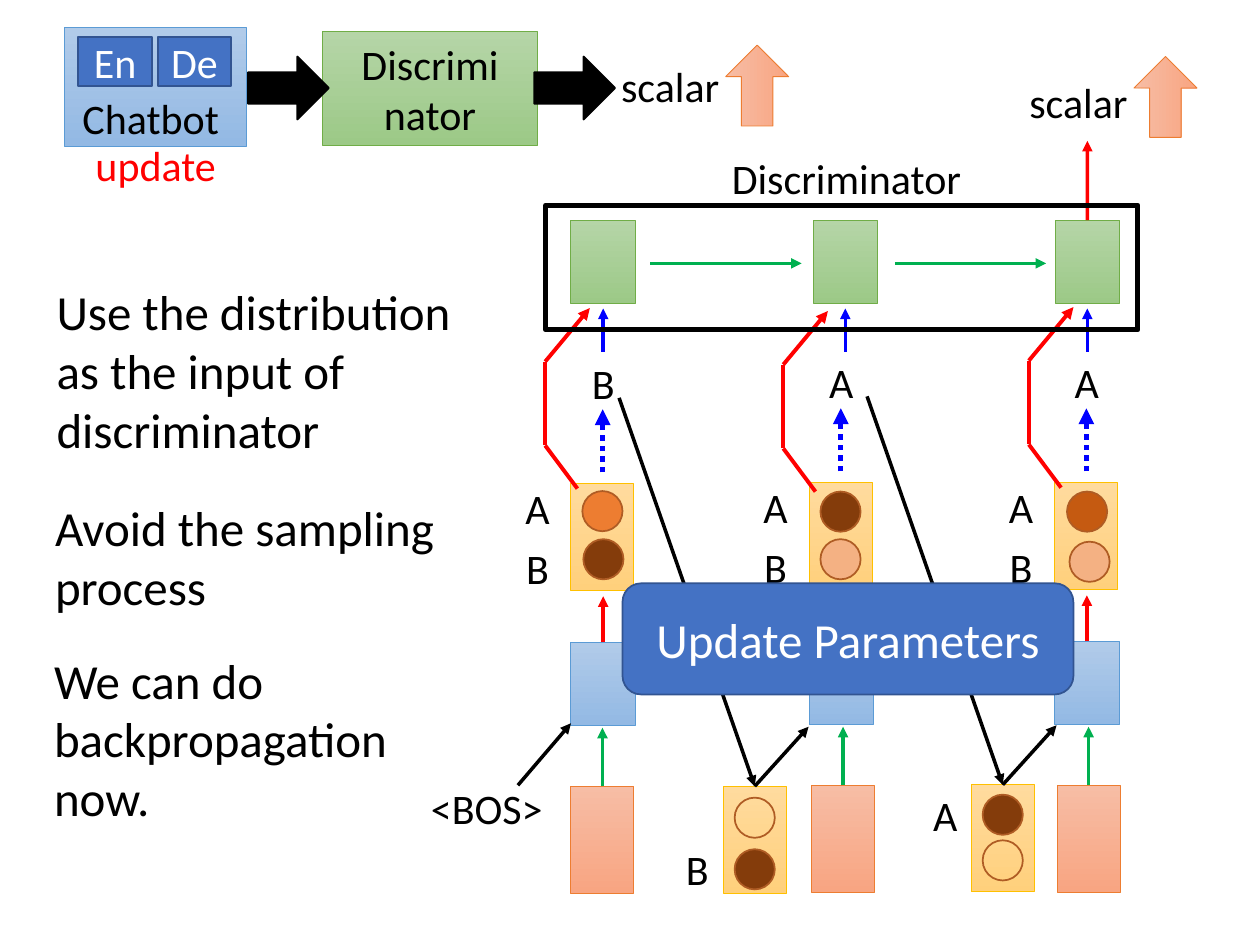
import itertools

import pptx
import pptx.dml.color
import pptx.enum.dml
import pptx.enum.shapes
import pptx.enum.text
import pptx.oxml.ns
import pptx.util
from lxml import etree

Cm, Pt = pptx.util.Cm, pptx.util.Pt
SHAPE = pptx.enum.shapes.MSO_SHAPE
TOP = 0

COLORS = {
    "black": "000000", "white": "FFFFFF", "red": "FF0000", "green": "00B050",
    "blue": "0000FF", "navy": "4472C4", "navy_edge": "325491",
    "brown": "843C0B", "orange": "ED7D31", "peach": "F4B183",
    "rust": "C55A11", "ring": "AF5C24",
}
# Gradient top, gradient bottom, outline
GRADIENTS = {
    "sky": ("B1CBE9", "93B9E4", "5B9BD5"),
    "salmon": ("F7BDA5", "F8A582", "ED7D31"),
    "gold": ("FFDB9E", "FFD07C", "FFC000"),
    "leaf": ("B5D5A7", "9CC987", "70AD47"),
}


def rgb(value):
    return pptx.dml.color.RGBColor.from_string(COLORS.get(value, value))


def write(tf, text, size, color, centered=True):
    for i, line in enumerate(text.split("\n")):
        p = tf.paragraphs[0] if i == 0 else tf.add_paragraph()
        if centered:
            p.alignment = pptx.enum.text.PP_ALIGN.CENTER
        r = p.add_run()
        r.text = line
        r.font.size = Pt(size)
        r.font.name = "Calibri"
        r.font.color.rgb = rgb(color)


def add_text(s, text, x, y, w, h=1.27, size=24, color="black", centered=True, wrap=True):
    tf = s.shapes.add_textbox(Cm(x), Cm(y), Cm(w), Cm(h)).text_frame
    tf.word_wrap = wrap
    tf.auto_size = pptx.enum.text.MSO_AUTO_SIZE.SHAPE_TO_FIT_TEXT
    write(tf, text, size, color, centered)


def add_block(s, x, y, w, h, fill=None, edge="black", width=1, kind=SHAPE.RECTANGLE,
              text=None, size=24, color="white"):
    sp = s.shapes.add_shape(kind, Cm(x), Cm(y), Cm(w), Cm(h))
    sp.shadow.inherit = False
    if fill in GRADIENTS:
        *stops, edge = GRADIENTS[fill]
        width = 0.5
        sp.fill.gradient()
        sp.fill.gradient_angle = 270
        for stop, value in zip(sp.fill.gradient_stops, stops):
            stop.color.rgb = rgb(value)
    elif fill:
        sp.fill.solid()
        sp.fill.fore_color.rgb = rgb(fill)
    else:
        sp.fill.background()
    sp.line.color.rgb = rgb(edge)
    sp.line.width = Pt(width)
    if text:
        sp.text_frame.word_wrap = True
        sp.text_frame.vertical_anchor = pptx.enum.text.MSO_ANCHOR.MIDDLE
        write(sp.text_frame, text, size, color)
    return sp


def add_line(s, start, end, color, width=2, arrow=True, dotted=False):
    c = s.shapes.add_connector(pptx.enum.shapes.MSO_CONNECTOR.STRAIGHT,
                               *(Cm(v) for v in (*start, *end)))
    c.line.color.rgb = rgb(color)
    c.line.width = Pt(width)
    if dotted:
        c.line.dash_style = pptx.enum.dml.MSO_LINE.ROUND_DOT
    if arrow:
        etree.SubElement(c.line._get_or_add_ln(), pptx.oxml.ns.qn("a:tailEnd"), type="triangle")
    etree.SubElement(c._element.spPr, pptx.oxml.ns.qn("a:effectLst"))
    return c


def add_circles(s, x, y, circles):
    for dx, dy, fill in circles:
        add_block(s, x + dx, y + dy, 0.81, 0.81, fill, "ring", kind=SHAPE.OVAL)


def scalar_up(s, x, y, lift=0.0):
    """Scalar label followed by a rising arrow."""
    add_text(s, "scalar", x, y, 2.74, centered=False)
    up = add_block(s, x + 2.18, y - lift, 1.63, 1.27, "salmon", kind=SHAPE.RIGHT_ARROW)
    up.rotation = 270


def chatbot(s, x, y, w, h):
    add_block(s, x, y, w, h, "sky")
    add_text(s, "Chatbot", x + 0.1, y + 1.19, 3.28, wrap=False)
    for dx, name in ((0.28, "En"), (1.88, "De")):
        add_block(s, x + dx, y + 0.18, 1.48, 1, "navy", "navy_edge", text=name)
    add_text(s, "update", x - 0.13, y + 2.13, 3.94, color="red")


def overview(s, x, y):
    """Chatbot, discriminator and scalar in a chain."""
    chatbot(s, x, y, 3.66, 2.39)
    add_block(s, x + 5.2, y + 0.08, 4.34, 2.29, "leaf", text="Discrimi\nnator", color="black")
    for dx in (3.7, 9.47):
        add_block(s, x + dx, y + 0.58, 1.63, 1.27, "black", kind=SHAPE.RIGHT_ARROW)
    scalar_up(s, x + 10.97, y + 0.53)


def discriminator(s, x, y, w, h):
    """Recurrent discriminator with its inputs and output."""
    pitch = 4.88
    for i in range(3):
        left = x + 0.51 + i * pitch
        cell = add_block(s, left, y + 0.3, 1.3, 1.68, "leaf")
        mid = left + 0.65
        add_line(s, (mid, y + 2.95), (mid, y + 2.08), "blue")
        if i < 2:
            start = x + 2.11 + i * 4.93
            add_line(s, (start, y + 1.17), (start + 3.05, y + 1.17), "green")
    out = add_line(s, (mid, y + 0.3), (mid, y - 1.3), "red")
    out.begin_connect(cell, TOP)
    add_text(s, "Discriminator", x + 3.22, y - 1.19, 5.69)
    add_block(s, x, y, w, h, width=3)


def decoder_step(s, x, y, token, circles, noise_dx=0.05, bend_dy=0.0, has_output=True):
    """One generation step; (x, y) is the corner of its distribution box."""
    # Noise, hidden state and distribution, from the bottom up
    noise = add_block(s, x + noise_dx, y + 6.1, 1.27, 2.16, "salmon")
    state = add_block(s, x, y + 3.2, 1.3, 1.68, "sky")
    mid = x + noise_dx + 0.635
    add_line(s, (mid, y + 6.1), (mid, y + 4.92), "green").begin_connect(noise, TOP)
    if has_output:
        mid = x + 0.65
        add_line(s, (mid, y + 3.2), (mid, y + 2.27), "red").begin_connect(state, TOP)
    add_block(s, x, y, 1.27, 2.16, "gold")
    add_circles(s, x, y, circles)
    for dy, name in ((-0.15, "A"), (1.07, "B")):
        add_text(s, name, x - 1.35, y + dy, 1.35)
    # Sampled token
    add_line(s, (x + 0.64, y - 0.23), (x + 0.64, y - 1.5), "blue", 3, dotted=True)
    add_text(s, token, x - 0.43, y - 2.67, 2.16)
    # Bypass from the distribution to the discriminator
    bends = ((0.13, 0.1), (-0.52, -0.77), (-0.52, -2.46), (0.38, -3.54))
    points = [(x + dx, y + dy + bend_dy) for dx, dy in bends]
    for i, (start, end) in enumerate(itertools.pairwise(points)):
        add_line(s, start, end, "red", 2.25, arrow=i == 2)


def fed_back_token(s, x, y, token, token_dy, circles):
    """Sampled token passed on as the input of the next step."""
    box = add_block(s, x, y, 1.27, 2.16, "gold")
    add_circles(s, x, y, circles)
    add_text(s, token, x - 1.08, y + token_dy, 1.11)
    mid = x + 0.635
    add_line(s, (x - 2.1, y - 7.83), (mid, y), "black").end_connect(box, TOP)
    add_line(s, (mid, y), (x + 1.72, y - 1.2), "black").begin_connect(box, TOP)


def start_token(s, x, y):
    add_text(s, "<BOS>", x, y, 3.07)
    add_line(s, (x + 2.16, y + 0.18), (x + 3.23, y - 1.07), "black")


def main():
    prs = pptx.Presentation()
    prs.slide_width, prs.slide_height = Cm(25.4), Cm(19.05)
    s = prs.slides.add_slide(prs.slide_layouts[6])

    overview(s, 1.3, 0.56)
    scalar_up(s, 20.5, 1.42, lift=0.1)

    # Generator unrolled over three steps
    decoder_step(s, 11.51, 9.75, "B", ((0.25, 1.12, "brown"), (0.23, 0.15, "orange")),
                 noise_dx=0)
    decoder_step(s, 16.31, 9.73, "A", ((0.23, 1.14, "peach"), (0.23, 0.18, "brown")),
                 bend_dy=0.08, has_output=False)
    decoder_step(s, 21.26, 9.73, "A", ((0.3, 1.19, "peach"), (0.25, 0.18, "rust")))
    start_token(s, 8.28, 15.65)
    fed_back_token(s, 14.58, 15.85, "B", 1.02, ((0.23, 0.23, None), (0.23, 1.27, "brown")))
    fed_back_token(s, 19.58, 15.82, "A", -0.03, ((0.23, 0.2, "brown"), (0.23, 1.12, None)))
    discriminator(s, 11, 4.14, 11.94, 2.51)

    # Remarks
    for text, x, y, w, h in (
        ("Use the distribution as the input of discriminator", 0.89, 5.56, 9.35, 3.84),
        ("Avoid the sampling process", 0.86, 9.91, 8.43, 2.64),
        ("We can do backpropagation now.", 0.84, 12.98, 8.2, 3.84),
    ):
        add_text(s, text, x, y, w, h, size=28, centered=False)
    add_block(s, 12.55, 11.76, 9.09, 2.24, "navy", "navy_edge", kind=SHAPE.ROUNDED_RECTANGLE,
              text="Update Parameters", size=28)

    prs.save("out.pptx")


if __name__ == "__main__":
    main()
